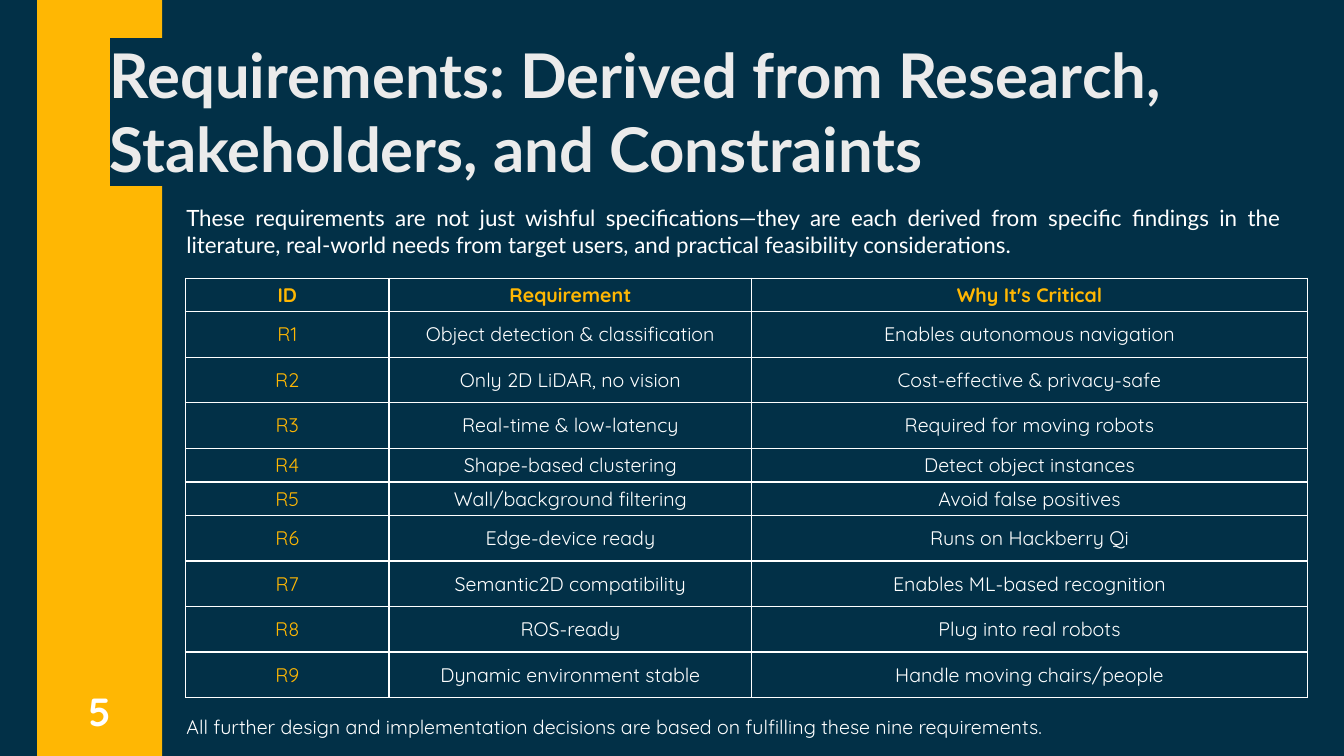
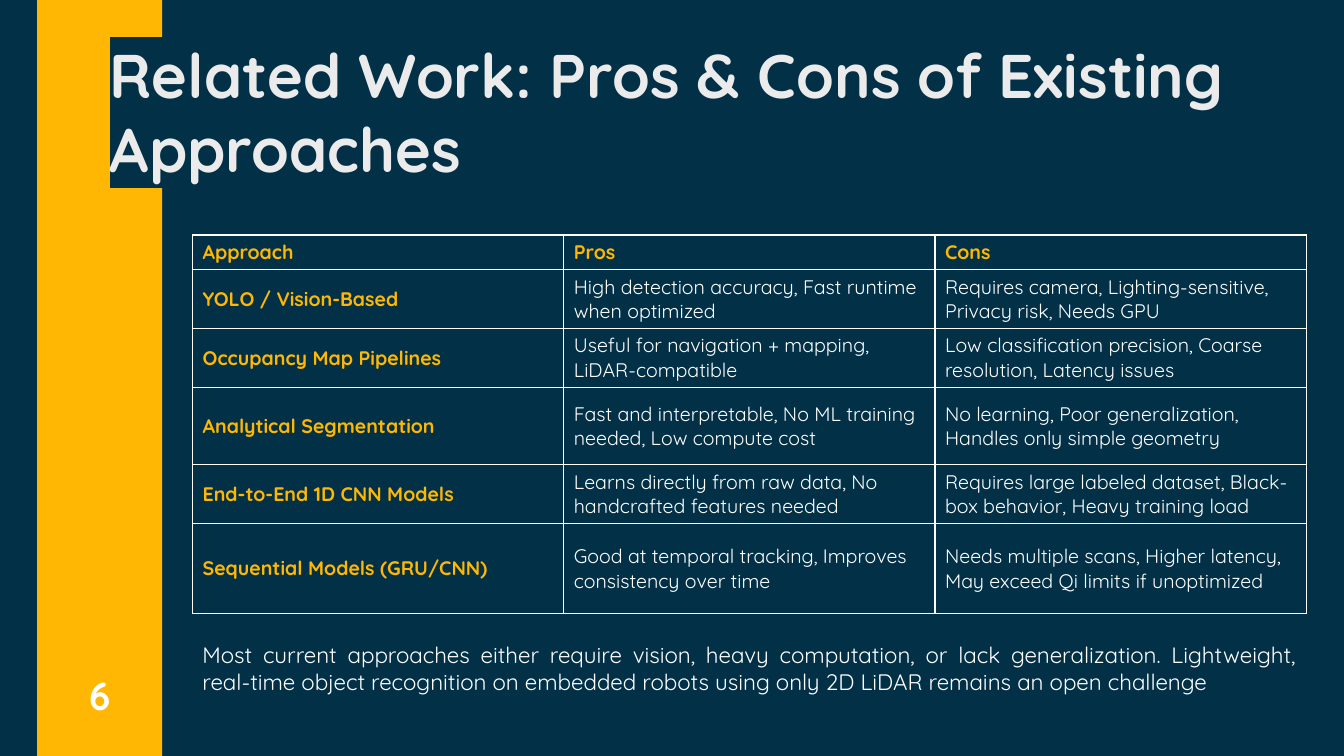
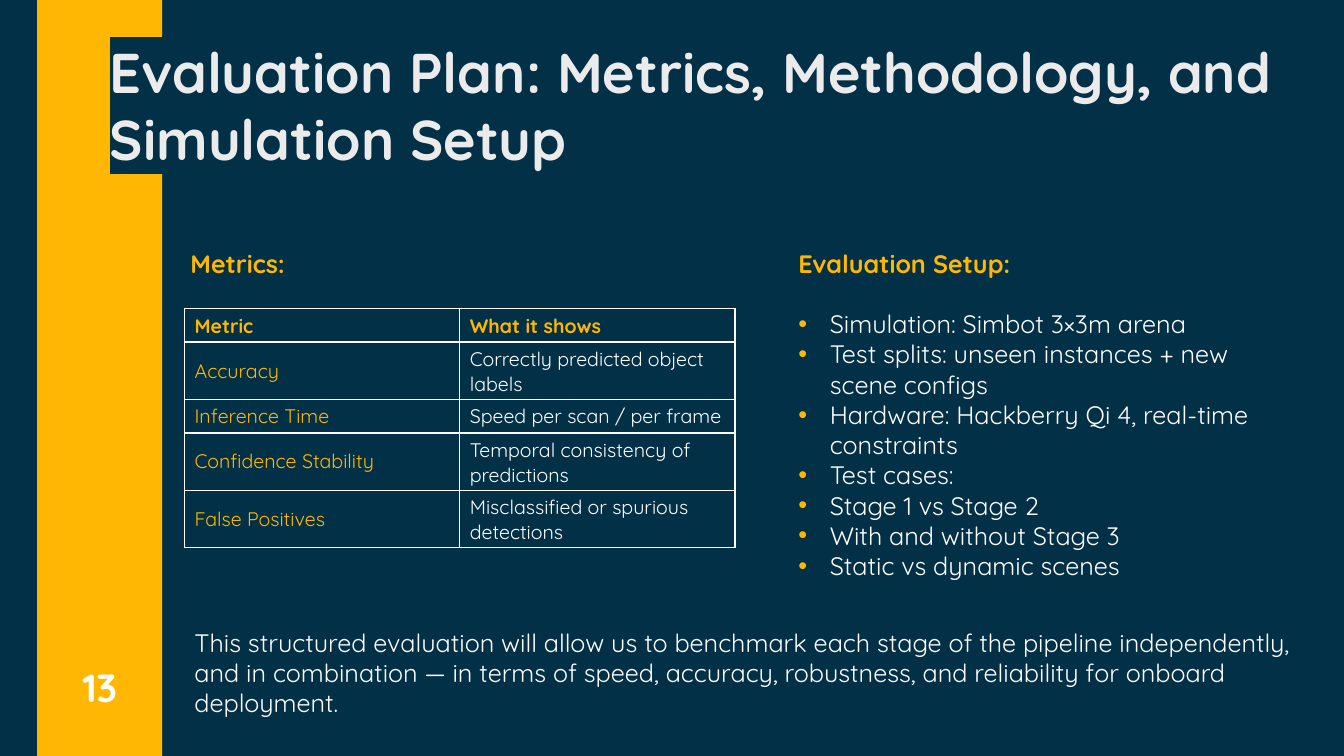
"""Build three slides on requirements, related work and evaluation of 2D LiDAR recognition."""
from lxml import etree
from pptx import Presentation
from pptx.dml.color import RGBColor
from pptx.enum.shapes import MSO_SHAPE as Shape
from pptx.enum.text import MSO_ANCHOR as Anchor, MSO_AUTO_SIZE as Fit, PP_ALIGN as Align
from pptx.oxml import parse_xml
from pptx.oxml.ns import nsdecls, qn
from pptx.util import Pt

NAVY = RGBColor(0x02, 0x30, 0x47)
GOLD = RGBColor(0xFF, 0xB7, 0x03)
WHITE = RGBColor(0xFF, 0xFF, 0xFF)
PALE = RGBColor(0xEB, 0xEB, 0xEB)
SANS, ROUND = "Lato", "Quicksand"


def style(para, text, size, color=WHITE, bold=False, face=ROUND, align=Align.LEFT):
    para.text = text
    para.alignment = align
    font = para.font
    font.name, font.size, font.bold = face, Pt(size), bold
    font.color.rgb = color


def label(slide, box, text, size, anchor=Anchor.TOP, **look):
    frame = slide.shapes.add_textbox(*map(Pt, box)).text_frame
    frame.word_wrap = True
    frame.vertical_anchor = anchor
    style(frame.paragraphs[0], text, size, **look)


NEEDS = [
    ("ID", "Requirement", "Why It's Critical"),
    ("R1", "Object detection & classification", "Enables autonomous navigation"),
    ("R2", "Only 2D LiDAR, no vision", "Cost-effective & privacy-safe"),
    ("R3", "Real-time & low-latency", "Required for moving robots"),
    ("R4", "Shape-based clustering", "Detect object instances"),
    ("R5", "Wall/background filtering", "Avoid false positives"),
    ("R6", "Edge-device ready", "Runs on Hackberry Qi"),
    ("R7", "Semantic2D compatibility", "Enables ML-based recognition"),
    ("R8", "ROS-ready", "Plug into real robots"),
    ("R9", "Dynamic environment stable", "Handle moving chairs/people"),
]
WORKS = [
    ("Approach", "Pros", "Cons"),
    ("YOLO / Vision-Based", "High detection accuracy, Fast runtime when optimized",
     "Requires camera, Lighting-sensitive, Privacy risk, Needs GPU"),
    ("Occupancy Map Pipelines", "Useful for navigation + mapping, LiDAR-compatible",
     "Low classification precision, Coarse resolution, Latency issues"),
    ("Analytical Segmentation", "Fast and interpretable, No ML training needed, Low compute cost",
     "No learning, Poor generalization, Handles only simple geometry"),
    ("End-to-End 1D CNN Models", "Learns directly from raw data, No handcrafted features needed",
     "Requires large labeled dataset, Black-box behavior, Heavy training load"),
    ("Sequential Models (GRU/CNN)", "Good at temporal tracking, Improves consistency over time",
     "Needs multiple scans, Higher latency, May exceed Qi limits if unoptimized"),
]
SCORES = [
    ("Metric", "What it shows"),
    ("Accuracy", "Correctly predicted object labels"),
    ("Inference Time", "Speed per scan / per frame"),
    ("Confidence Stability", "Temporal consistency of predictions"),
    ("False Positives", "Misclassified or spurious detections"),
]
SETUP = [
    "Simulation: Simbot 3×3m arena",
    "Test splits: unseen instances + new scene configs",
    "Hardware: Hackberry Qi 4, real-time constraints",
    "Test cases:",
    "Stage 1 vs Stage 2",
    "With and without Stage 3",
    "Static vs dynamic scenes",
]
DECK = [
    dict(title="Requirements: Derived from Research, Stakeholders, and Constraints",
         face=SANS, size=44, num="5", foot=467.3, layout=5, rows=NEEDS, at=(132.5, 198.7),
         cols=(145.4, 259.2, 396.7), tall=[24] + [32.5] * 3 + [24] * 2 + [32.5] * 4,
         align=Align.CENTER, bold=False),
    dict(title="Related Work: Pros & Cons of Existing Approaches",
         face=ROUND, size=44, num="6", foot=456.5, layout=5, rows=WORKS, at=(137.5, 167.8),
         cols=(265.2,) * 3, tall=[24.6, 42.1, 42.1, 55.4, 42.1, 64.1],
         align=Align.LEFT, bold=True),
    dict(title="Evaluation Plan: Metrics, Methodology, and Simulation Setup",
         face=ROUND, size=40, num="13", foot=450.7, layout=1, rows=SCORES, at=(131.8, 220.3),
         cols=(196.6,) * 2, tall=[24, 40.8, 24, 40.8, 40.8],
         align=Align.LEFT, bold=False),
]

prs = Presentation()
prs.slide_width, prs.slide_height = Pt(960), Pt(540)
back = prs.slide_master.background.fill
back.solid()
back.fore_color.rgb = NAVY

slides = []
for page in DECK:
    slide = prs.slides.add_slide(prs.slide_layouts[page["layout"]])
    slides.append(slide)
    title = slide.shapes.title
    band = slide.shapes.add_shape(Shape.RECTANGLE, Pt(26.6), 0, Pt(89.3), Pt(540))
    band.shadow.inherit = False
    band.fill.solid()
    band.fill.fore_color.rgb = GOLD
    band.line.fill.background()
    title._element.addprevious(band._element)

    title.left, title.top, title.width, title.height = map(Pt, (71.3, 23, 862.6, 52.6))
    frame = title.text_frame
    frame.auto_size = Fit.NONE
    frame.vertical_anchor = Anchor.TOP
    head = frame.paragraphs[0]
    style(head, page["title"], page["size"], PALE, True, page["face"])
    props = head.runs[0]._r.get_or_add_rPr()
    mark = etree.SubElement(props, qn("a:highlight"))
    etree.SubElement(mark, qn("a:srgbClr"), val=str(NAVY))

    label(slide, (38.2, page["foot"], 66.2, 60.5), page["num"], 28, Anchor.BOTTOM,
          bold=True, align=Align.CENTER)

    rows, cols, tall = page["rows"], page["cols"], page["tall"]
    box = map(Pt, (*page["at"], sum(cols), sum(tall)))
    table = slide.shapes.add_table(len(rows), len(cols), *box).table
    for col, width in zip(table.columns, cols):
        col.width = Pt(width)
    for row, height in zip(table.rows, tall):
        row.height = Pt(height)
    for r, row in enumerate(rows):
        for c, text in enumerate(row):
            cell = table.cell(r, c)
            cell.vertical_anchor = Anchor.MIDDLE
            color = GOLD if r == 0 or c == 0 else WHITE
            bold = r == 0 or (c == 0 and page["bold"])
            style(cell.text_frame.paragraphs[0], text, 14, color, bold, align=page["align"])
            props = cell._tc.get_or_add_tcPr()
            for side in ("lnL", "lnR", "lnT", "lnB"):
                props.append(parse_xml(
                    f'<a:{side} {nsdecls("a")} w="12700"><a:solidFill>'
                    f'<a:srgbClr val="{WHITE}"/></a:solidFill></a:{side}>'))
            cell.fill.background()

needs, works, plan = slides
label(needs, (126, 142.6, 796.3, 46.1),
      "These requirements are not just wishful specifications—they are each derived from "
      "specific findings in the literature, real-world needs from target users, and practical "
      "feasibility considerations.", 16, face=SANS, align=Align.JUSTIFY)
label(needs, (126, 506.9, 850.3, 24.5),
      "All further design and implementation decisions are based on fulfilling these nine "
      "requirements.", 14)
label(works, (137.5, 454.3, 795.6, 65.5),
      "Most current approaches either require vision, heavy computation, or lack "
      "generalization. Lightweight, real-time object recognition on embedded robots using "
      "only 2D LiDAR remains an open challenge", 16, align=Align.JUSTIFY)
label(plan, (128.9, 173.5, 331.9, 28.8), "Metrics:", 18, color=GOLD, bold=True)
label(plan, (131.8, 444.2, 802.1, 72.7),
      "This structured evaluation will allow us to benchmark each stage of the pipeline "
      "independently, and in combination — in terms of speed, accuracy, robustness, and "
      "reliability for onboard deployment.", 18)

body = plan.placeholders[1]
body.left, body.top, body.width, body.height = map(Pt, (563, 173.5, 362.2, 247))
frame = body.text_frame
frame.auto_size = Fit.NONE
head = frame.paragraphs[0]
style(head, "Evaluation Setup:", 18, GOLD, True)
head.space_before, head.space_after = Pt(0), Pt(21.6)
props = head._p.get_or_add_pPr()
props.set("marL", "0")
props.set("indent", "0")
props.insert_element_before(parse_xml(f'<a:buNone {nsdecls("a")}/>'), "a:defRPr")
for text in SETUP:
    para = frame.add_paragraph()
    style(para, text, 18)
    para.space_before = Pt(0)
    props = para._p.get_or_add_pPr()
    props.set("marL", str(Pt(22.5)))
    props.set("indent", str(-Pt(22.5)))
    for bullet in (f'<a:buClr {nsdecls("a")}><a:srgbClr val="{GOLD}"/></a:buClr>',
                   f'<a:buFont {nsdecls("a")} typeface="Arial"/>',
                   f'<a:buChar {nsdecls("a")} char="•"/>'):
        props.insert_element_before(parse_xml(bullet), "a:defRPr")

prs.save("out.pptx")
